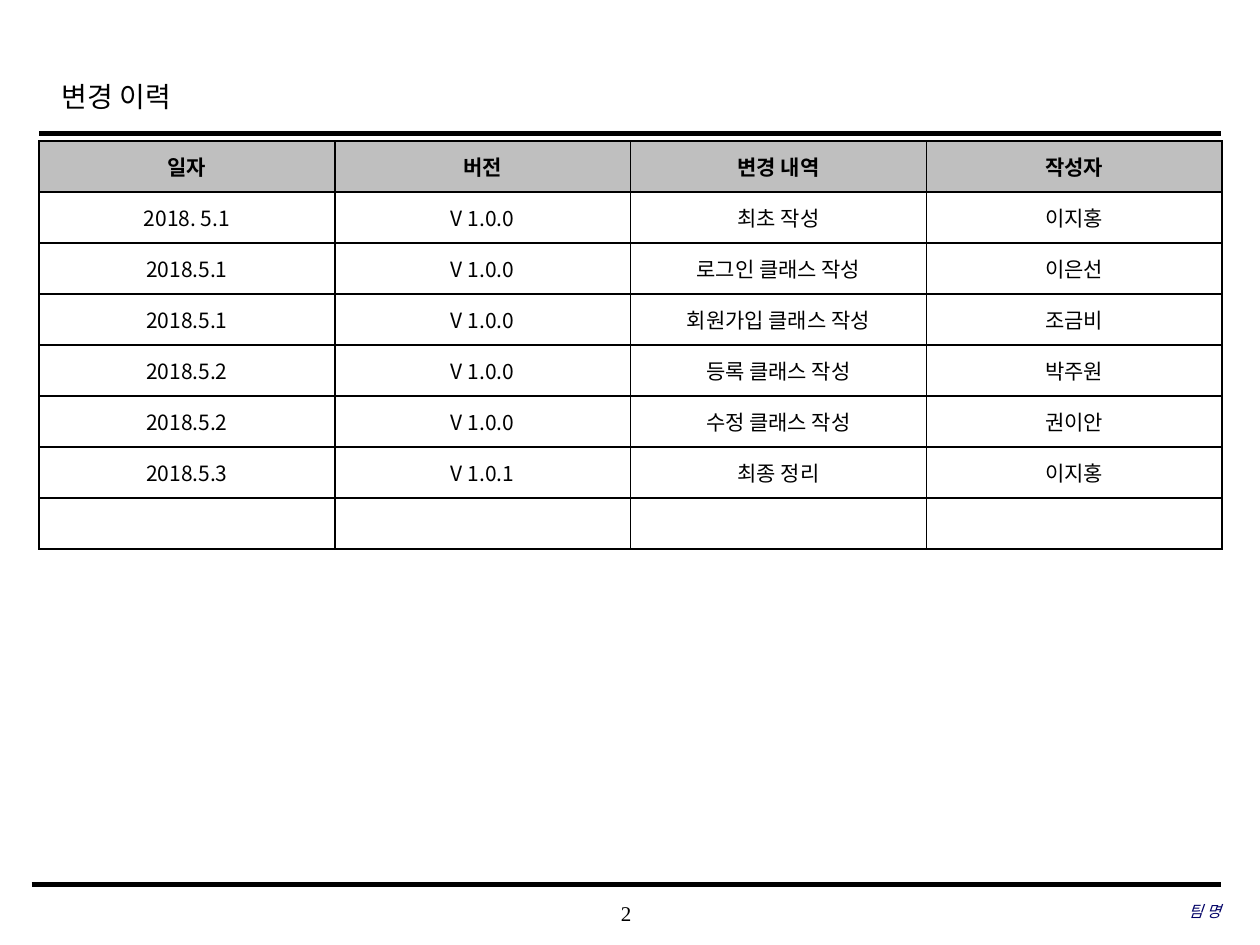
from lxml.etree import SubElement
from pptx import Presentation
from pptx.dml.color import RGBColor
from pptx.enum.shapes import MSO_CONNECTOR
from pptx.enum.text import MSO_ANCHOR as ANCHOR, PP_ALIGN as ALIGN
from pptx.oxml.ns import qn
from pptx.util import Inches, Pt

SERIF, SANS = "Times New Roman", "Noto Sans CJK KR"
BLACK, WHITE, GREY, NAVY = "000000", "FFFFFF", "BFBFBF", "000066"
LEFT, RIGHT = 0.31, 9.69
ROWS = [
    ("일자", "버전", "변경 내역", "작성자"),
    ("2018. 5.1", "V 1.0.0", "최초 작성", "이지홍"),
    ("2018.5.1", "V 1.0.0", "로그인 클래스 작성", "이은선"),
    ("2018.5.1", "V 1.0.0", "회원가입 클래스 작성", "조금비"),
    ("2018.5.2", "V 1.0.0", "등록 클래스 작성", "박주원"),
    ("2018.5.2", "V 1.0.0", "수정 클래스 작성", "권이안"),
    ("2018.5.3", "V 1.0.1", "최종 정리", "이지홍"),
    ("", "", "", ""),
]


def rgb(value):
    """Turn a hex string into a colour."""
    return RGBColor.from_string(value)


def write(tf, text, size=12, font=SERIF, color=BLACK, bold=False,
          italic=False, align=ALIGN.LEFT, spacing=None):
    """Write one formatted paragraph into a text frame."""
    p = tf.paragraphs[0]
    p.alignment = align
    p.line_spacing = spacing
    if not text:
        SubElement(p._p, qn("a:endParaRPr")).set("sz", str(size * 100))
        return
    r = p.add_run()
    r.text = text
    f = r.font
    f.size, f.name, f.bold, f.italic = Pt(size), font, bold, italic
    f.color.rgb = rgb(color)
    SubElement(r._r.get_or_add_rPr(), qn("a:ea")).set("typeface", SANS)


def add_text(s, text, x, y, w, h, **fmt):
    """Add a text box without margins, centred vertically."""
    tf = s.shapes.add_textbox(*map(Inches, (x, y, w, h))).text_frame
    tf.word_wrap = True
    tf.vertical_anchor = ANCHOR.MIDDLE
    tf.margin_left = tf.margin_right = tf.margin_top = tf.margin_bottom = 0
    write(tf, text, **fmt)


def add_rule(s, x, y, width):
    """Add a horizontal rule that ends at the right margin."""
    line = s.shapes.add_connector(
        MSO_CONNECTOR.STRAIGHT, *map(Inches, (x, y, RIGHT, y)))
    line.line.color.rgb = rgb(BLACK)
    line.line.width = Pt(width)
    SubElement(line._element.spPr, qn("a:effectLst"))


def add_title(s, text):
    """Place and fill the title placeholder."""
    sp = s.shapes.title
    sp.left, sp.top, sp.width, sp.height = map(Inches, (0.39, 0.49, 7.55, 0.5))
    sp.text_frame.vertical_anchor = ANCHOR.MIDDLE
    write(sp.text_frame, text, size=16, spacing=1.2)


def add_borders(cell):
    """Draw a thin black border on each side of a cell."""
    tc_pr = cell._tc.get_or_add_tcPr()
    for side in ("lnL", "lnR", "lnT", "lnB"):
        ln = SubElement(tc_pr, qn(f"a:{side}"), w=str(Pt(1)))
        fill = SubElement(ln, qn("a:solidFill"))
        SubElement(fill, qn("a:srgbClr"), val=BLACK)


def add_history(s, rows):
    """Add the change history table with a grey header row."""
    table = s.shapes.add_table(
        len(rows), len(rows[0]),
        *map(Inches, (LEFT, 1.12, 9.39, 3.24))).table
    for i, row in enumerate(rows):
        header = i == 0
        for j, text in enumerate(row):
            cell = table.cell(i, j)
            add_borders(cell)
            cell.fill.solid()
            cell.fill.fore_color.rgb = rgb(GREY if header else WHITE)
            cell.vertical_anchor = ANCHOR.MIDDLE
            write(cell.text_frame, text, font=SANS, bold=header,
                  align=ALIGN.CENTER)


def main():
    """Build the change history slide."""
    prs = Presentation()
    prs.slide_width, prs.slide_height = Inches(10), Inches(7.5)
    s = prs.slides.add_slide(prs.slide_layouts[5])
    add_rule(s, LEFT, 1.06, 2.5)
    add_rule(s, 0.25, 7.02, 3)
    add_title(s, "변경 이력")
    add_text(s, "2", 3.93, 7.08, 2.08, 0.33, align=ALIGN.CENTER)
    add_text(s, "팀 명", 6.63, 7.07, 3.06, 0.33, size=9, color=NAVY,
             italic=True, align=ALIGN.RIGHT)
    add_history(s, ROWS)
    prs.save("out.pptx")


main()
